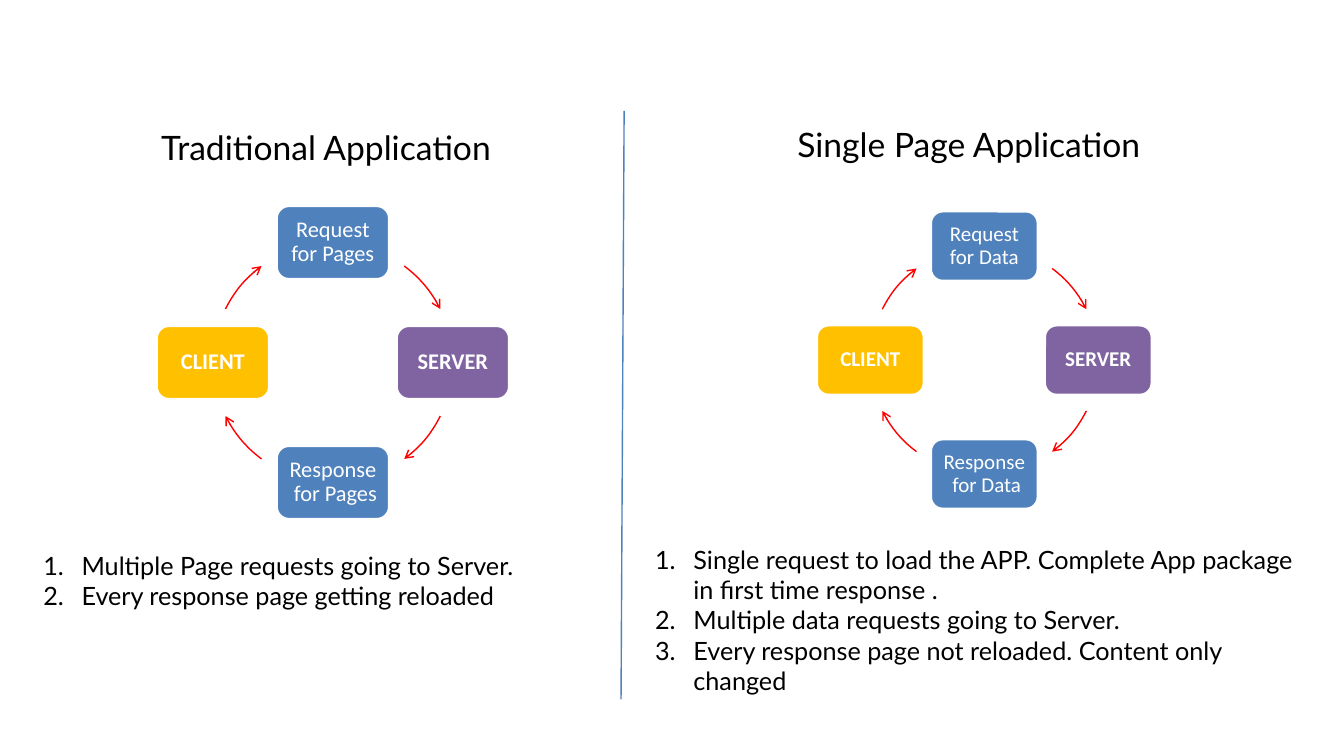
from lxml import etree
from pptx import Presentation
from pptx.dml.color import RGBColor
from pptx.enum.shapes import MSO_CONNECTOR, MSO_SHAPE
from pptx.enum.text import MSO_ANCHOR, MSO_AUTO_SIZE, PP_ALIGN
from pptx.oxml.ns import qn
from pptx.util import Inches, Pt

STRAIGHT = MSO_CONNECTOR.STRAIGHT
ARC, ROUNDED = MSO_SHAPE.ARC, MSO_SHAPE.ROUNDED_RECTANGLE
MIDDLE, CENTER = MSO_ANCHOR.MIDDLE, PP_ALIGN.CENTER
GROW = MSO_AUTO_SIZE.SHAPE_TO_FIT_TEXT

WIDTH, HEIGHT = Inches(13.33), Inches(7.5)
COLORS = {
    "step": "4F81BD",
    "server": "8064A2",
    "client": "FFC000",
    "arrow": "FF0000",
    "divider": "4F81BD",
    "white": "FFFFFF",
    "ink": "000000",
}
RING_RADIUS = Inches(1.19)
STEP_WIDTH, STEP_HEIGHT = Inches(1.11), Inches(0.72)
STEP_INSET = Inches(0.07)
STEP_SIZE = 16
ARROW_START, ARROW_END = 26.5, 53.5
INDENT = Inches(0.38)


def color(name):
    return RGBColor.from_string(COLORS[name])


def across(percent):
    return round(WIDTH * percent / 100)


def down(percent):
    return round(HEIGHT * percent / 100)


def write(paragraph, words, font, size, ink, bold=False):
    run = paragraph.add_run()
    run.text = words
    run.font.name = font
    run.font.size = Pt(size)
    run.font.bold = bold
    run.font.color.rgb = color(ink)


def add_step(slide, center_x, center_y, scale, words, fill, bold):
    width, height = round(STEP_WIDTH * scale), round(STEP_HEIGHT * scale)
    step = slide.shapes.add_shape(
        ROUNDED, center_x - width // 2, center_y - height // 2, width, height)
    step.shadow.inherit = False
    step.fill.solid()
    step.fill.fore_color.rgb = color(fill)
    step.line.color.rgb = color("white")
    step.line.width = Pt(1.25)
    frame = step.text_frame
    frame.word_wrap = True
    frame.vertical_anchor = MIDDLE
    inset = round(STEP_INSET * scale)
    frame.margin_left = frame.margin_right = inset
    frame.margin_top = frame.margin_bottom = inset
    paragraph = frame.paragraphs[0]
    paragraph.alignment = CENTER
    paragraph.line_spacing = 0.9
    write(paragraph, words, "Calibri", round(STEP_SIZE * scale), "white", bold)


def add_arrow(slide, center_x, center_y, radius, start, end):
    arrow = slide.shapes.add_shape(
        ARC, center_x - radius, center_y - radius, 2 * radius, 2 * radius)
    for index, degrees in enumerate((start, end)):
        arrow.adjustments[index] = degrees * 0.6
    arrow.shadow.inherit = False
    arrow.fill.background()
    arrow.line.color.rgb = color("arrow")
    arrow.line.width = Pt(1)
    outline = arrow.line.fill._xPr
    etree.SubElement(outline, qn("a:tailEnd"), type="arrow")


def add_cycle(slide, center_x, center_y, scale, subject):
    radius = round(RING_RADIUS * scale)
    steps = [
        (0, -1, f"Request for {subject}", "step", False),
        (1, 0, "SERVER", "server", True),
        (0, 1, f"Response  for {subject}", "step", False),
        (-1, 0, "CLIENT", "client", True),
    ]
    for right, below, words, fill, bold in steps:
        add_step(slide, center_x + right * radius, center_y + below * radius,
                 scale, words, fill, bold)
    for half_turn in (0, 180):
        add_arrow(slide, center_x, center_y, radius,
                  half_turn + ARROW_START, half_turn + ARROW_END)
        add_arrow(slide, center_x, center_y, radius,
                  half_turn + 180 - ARROW_END, half_turn + 180 - ARROW_START)


def add_heading(slide, left, top, width, words):
    heading = slide.shapes.add_textbox(left, top, width, down(6.67))
    frame = heading.text_frame
    frame.word_wrap = False
    frame.auto_size = GROW
    write(frame.paragraphs[0], words, "Lato", 24, "ink")


def add_numbered_list(slide, left, top, width, height, points):
    frame = slide.shapes.add_textbox(left, top, width, height).text_frame
    frame.word_wrap = True
    frame.auto_size = GROW
    for index, point in enumerate(points):
        paragraph = frame.add_paragraph() if index else frame.paragraphs[0]
        properties = paragraph._p.get_or_add_pPr()
        properties.set("marL", str(INDENT))
        properties.set("indent", str(-INDENT))
        etree.SubElement(properties, qn("a:buAutoNum"), type="arabicPeriod")
        write(paragraph, point, "Lato", 18, "ink")


def add_divider(slide, start_x, start_y, end_x, end_y):
    divider = slide.shapes.add_connector(STRAIGHT, start_x, start_y, end_x, end_y)
    divider.line.color.rgb = color("divider")
    divider.line.width = Pt(1)
    etree.SubElement(divider._element.spPr, qn("a:effectLst"))


def main():
    deck = Presentation()
    deck.slide_width, deck.slide_height = WIDTH, HEIGHT
    slide = deck.slides.add_slide(deck.slide_layouts[6])

    add_cycle(slide, across(24.77), down(47.95), 1, "Pages")
    add_cycle(slide, across(73.24), down(47.63), 0.95, "Data")

    add_heading(slide, across(11.25), down(16.13), across(26.78),
                "Traditional Application")
    add_heading(slide, across(58.59), down(15.73), across(27.91),
                "Single Page Application")

    add_numbered_list(
        slide, across(2.48), down(72.13), across(38.11), down(9.47),
        ["Multiple Page requests going to Server.",
         "Every response page getting reloaded"])
    add_numbered_list(
        slide, across(48.01), down(71.33), across(50.34), down(21.6),
        ["Single request to load the APP. Complete App package in first time response .",
         "Multiple data requests going to Server.",
         "Every response page not reloaded. Content only changed"])

    add_divider(slide, across(46.44), down(14.67), across(46.21), down(92.53))
    deck.save("out.pptx")


if __name__ == "__main__":
    main()
